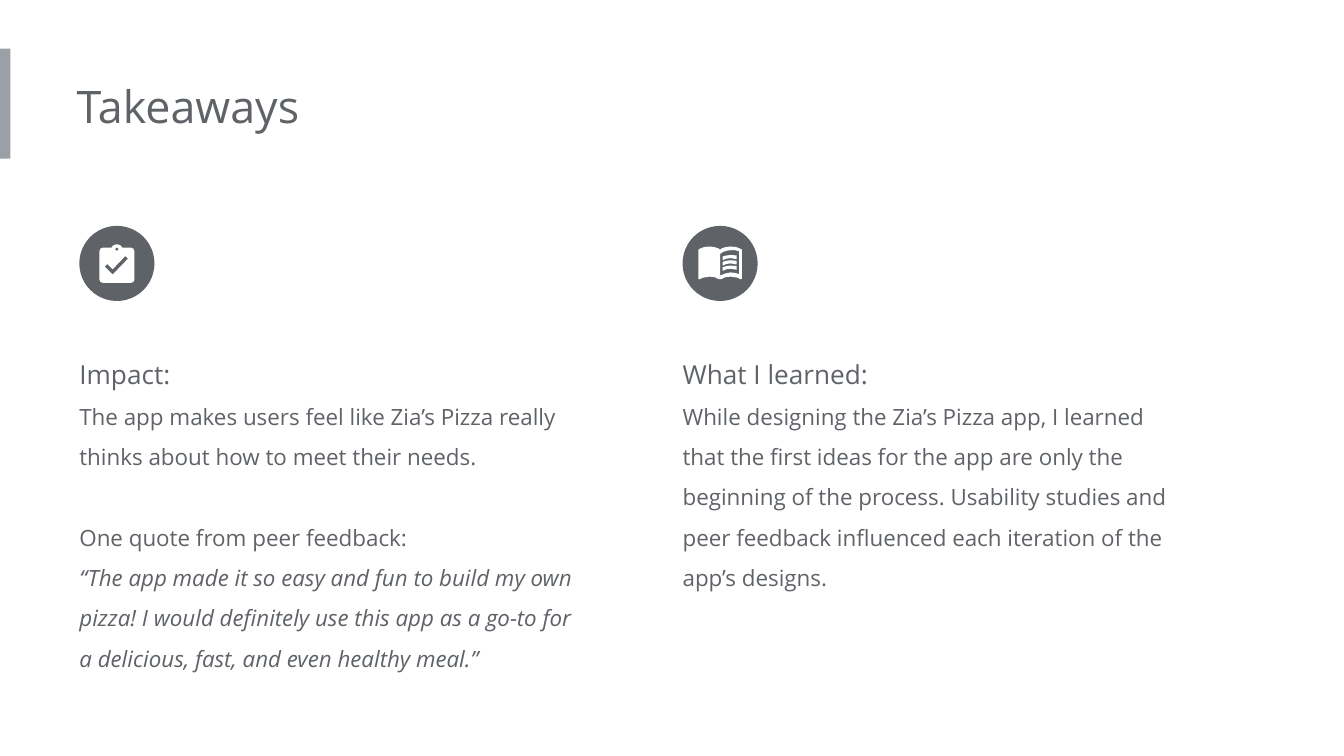
"""Build the Takeaways slide: a title and two columns, each under a round icon."""
from lxml import etree
from pptx import Presentation
from pptx import util as u
from pptx.dml.color import RGBColor
from pptx.enum import shapes, text
from pptx.oxml.ns import qn

GREY, LIGHT_GREY, WHITE = "5F6368", "9AA0A6", "FFFFFF"


def paint(shape, colour):
    shape.fill.solid()
    shape.fill.fore_color.rgb = RGBColor.from_string(colour)
    shape.line.fill.background()
    shape.shadow.inherit = False


def write(placeholder, box, lines):
    placeholder.left, placeholder.top, placeholder.width, placeholder.height = map(u.Cm, box)
    frame = placeholder.text_frame
    frame.word_wrap = True
    frame.auto_size = text.MSO_AUTO_SIZE.NONE
    frame.vertical_anchor = text.MSO_ANCHOR.TOP
    frame.margin_left = 0
    frame.margin_top = frame.margin_right = frame.margin_bottom = u.Cm(0.25)
    frame.text = "\n".join(words for words, *_ in lines)
    for paragraph, (_, size, spacing, before, italic) in zip(frame.paragraphs, lines):
        properties = paragraph._p.get_or_add_pPr()
        properties.set("marL", "0")
        properties.set("indent", "0")
        etree.SubElement(properties, qn("a:buNone"))
        paragraph.alignment = text.PP_ALIGN.LEFT
        paragraph.line_spacing = spacing
        paragraph.space_before = u.Pt(before)
        for run in paragraph.runs:
            run.font.name = "Open Sans"
            run.font.size = u.Pt(size)
            run.font.italic = italic
            run.font.color.rgb = RGBColor.from_string(GREY)


presentation = Presentation()
presentation.slide_width, presentation.slide_height = u.Cm(25.4), u.Cm(14.29)
slide = presentation.slides.add_slide(presentation.slide_layouts[3])
title, *bodies = slide.placeholders

accent_bar = slide.shapes.add_shape(
    shapes.MSO_SHAPE.RECTANGLE, 0, u.Cm(0.92), u.Cm(0.2), u.Cm(2.08))
paint(accent_bar, LIGHT_GREY)
write(title, (1.45, 1.24, 13.69, 1.55), [("Takeaways", 24, 1, 0, False)])

impact = [
    ("Impact:", 14, 1.5, 0, False),
    ("The app makes users feel like Zia’s Pizza really thinks about how to meet their needs.",
     12, 1.5, 0, False),
    ("One quote from peer feedback:", 12, 1.5, 21.6, False),
    ("“The app made it so easy and fun to build my own pizza! I would definitely use this "
     "app as a go-to for a delicious, fast, and even healthy meal.”", 12, 1.5, 0, True),
]
learned = [
    ("What I learned:", 14, 1.5, 0, False),
    ("While designing the Zia’s Pizza app, I learned that the first ideas for the app are "
     "only the beginning of the process. Usability studies and peer feedback influenced "
     "each iteration of the app’s designs.", 12, 1.5, 0, False),
]

board_half = [(0, 462), (5, 463), (8, 465), (10, 468), (26, 468), (31, 470), (33, 475),
              (33, 529), (31, 533), (26, 535)]
clip_hole = [(0, 468), (2, 469), (3, 471), (2, 473), (0, 474), (-2, 473), (-3, 471), (-2, 469)]
check_mark = [(-8, 519), (-23, 504), (-18, 499), (-8, 509), (16, 484), (21, 489)]
cover_half = [(0, 472), (4, 469), (12, 467), (20, 466), (30, 467), (38, 470), (41, 472),
              (41, 527), (39, 528), (33, 525), (20, 523), (10, 524), (4, 527), (0, 528)]
page = [(0, 480), (6, 476), (13, 474), (20, 473), (28, 473), (36, 475), (36, 518),
        (28, 516), (20, 515), (10, 517), (0, 521)]
text_line = [(5, 485), (12, 483), (20, 482), (31, 483), (31, 490), (20, 488), (12, 489), (5, 492)]

board, cover = [half + [(-x, y) for x, y in reversed(half)] for half in (board_half, cover_half)]
clipboard_icon = [[board, clip_hole, check_mark]]
book_icon = [[cover, page]]
book_icon += [[[(x, y + 10 * row) for x, y in text_line]] for row in range(3)]

columns = [(1.5, 7.32, impact, clipboard_icon), (12.9, 5, learned, book_icon)]
for body, (left, height, lines, icon) in zip(bodies, columns):
    write(body, (left, 6.22, 9.58, height), lines)
    disc = slide.shapes.add_shape(
        shapes.MSO_SHAPE.OVAL, u.Cm(left), u.Cm(4.27), u.Cm(1.42), u.Cm(1.42))
    paint(disc, GREY)
    centre = round(100 * left) + 71
    for outlines in icon:
        builder = None
        for outline in outlines:
            points = [(centre + x, y) for x, y in outline]
            if builder is None:
                builder = slide.shapes.build_freeform(*points[0], scale=u.Cm(1) / 100)
            else:
                builder.move_to(*points[0])
            builder.add_line_segments(points[1:], close=True)
        paint(builder.convert_to_shape(), WHITE)

presentation.save("out.pptx")
